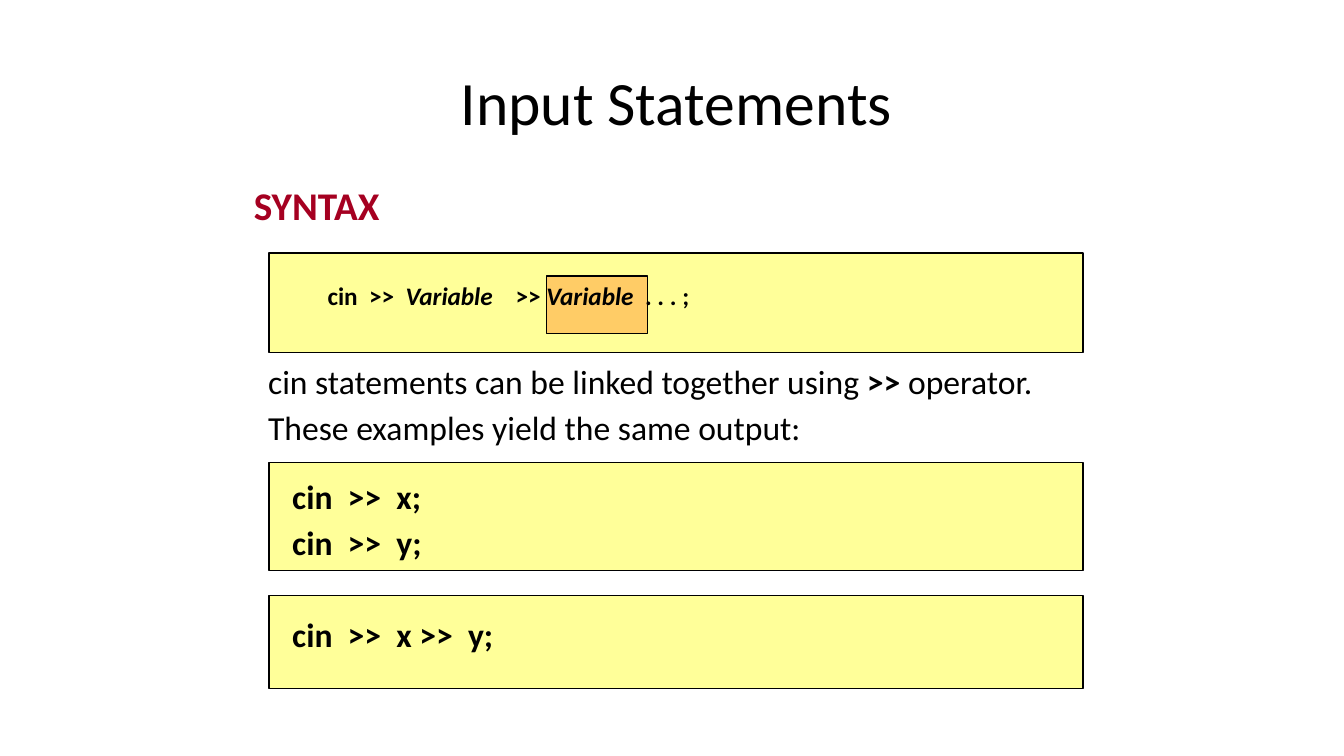
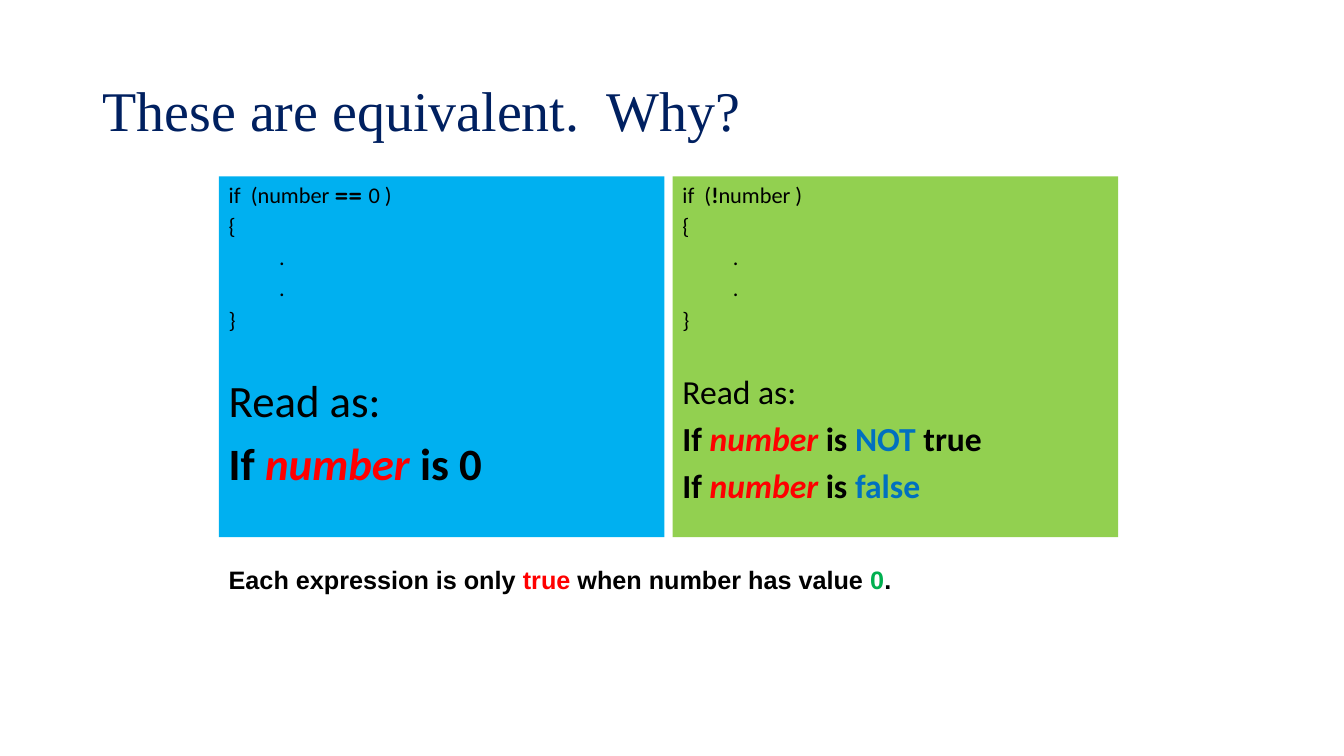
import pptx
import pptx.dml.color
import pptx.enum.shapes
import pptx.enum.text
import pptx.util

Inches = pptx.util.Inches
Pt = pptx.util.Pt
RGB = pptx.dml.color.RGBColor
ALIGN = pptx.enum.text.PP_ALIGN
ANCHOR = pptx.enum.text.MSO_ANCHOR

BLACK = RGB(0x00, 0x00, 0x00)
NAVY = RGB(0x00, 0x20, 0x60)
CRIMSON = RGB(0xA5, 0x00, 0x21)
RED = RGB(0xFF, 0x00, 0x00)
BLUE = RGB(0x00, 0x70, 0xC0)
GREEN = RGB(0x00, 0xB0, 0x50)
SKY = RGB(0x00, 0xB0, 0xF0)
LIME = RGB(0x92, 0xD0, 0x50)
YELLOW = RGB(0xFF, 0xFF, 0x99)
ORANGE = RGB(0xFF, 0xCC, 0x66)

BOLD = {"bold": True}
ITALIC = {"bold": True, "italic": True}
VARIABLE = {**ITALIC, "color": RED}
KEYWORD = {**BOLD, "color": BLUE}


def set_all(target, values):
    for name, value in values.items():
        setattr(target, name, value)


def para(*runs, size=24, font="Calibri", color=BLACK, before=0, left=0, **fmt):
    base = {"size": Pt(size), "name": font, "color": color}
    runs = [(r, {}) if isinstance(r, str) else r for r in runs]
    return base, runs, left, {"space_before": Pt(before), **fmt}


def write(sp, paras, **frame):
    tf = sp.text_frame
    set_all(tf, {"word_wrap": True, "vertical_anchor": ANCHOR.TOP, **frame})
    for i, (base, runs, left, fmt) in enumerate(paras):
        p = tf.paragraphs[0] if i == 0 else tf.add_paragraph()
        p._p.get_or_add_pPr().set("marL", str(Inches(left)))
        set_all(p, {"alignment": ALIGN.LEFT, **fmt})
        for text, style in runs:
            r = p.add_run()
            r.text = text
            font = {**base, **style}
            r.font.color.rgb = font.pop("color")
            set_all(r.font, font)


def add_text(s, box, paras, **frame):
    sp = s.shapes.add_textbox(*map(Inches, box))
    write(sp, paras, **frame)


def add_title(s, box, text, **fmt):
    add_text(s, box, [para(text, **fmt)], vertical_anchor=ANCHOR.MIDDLE)


def add_rect(s, box, fill, outlined=True):
    sp = s.shapes.add_shape(pptx.enum.shapes.MSO_SHAPE.RECTANGLE, *map(Inches, box))
    sp.shadow.inherit = False
    sp.fill.solid()
    sp.fill.fore_color.rgb = fill
    if outlined:
        sp.line.color.rgb = BLACK
        sp.line.width = Pt(1)
    else:
        sp.line.fill.background()
    return sp


def add_syntax(s, left, top, width):
    add_rect(s, (left, top, width, 0.99), YELLOW)
    add_rect(s, (left + 2.75, top + 0.23, 1, 0.57), ORANGE)
    add_text(s, (left + 0.48, top + 0.22, 3.82, 0.4), [
        para(("cin  >>  ", BOLD), ("Variable", ITALIC), ("    >> ", BOLD),
             ("Variable", ITALIC), ("  . . . ;", BOLD), size=18),
    ], word_wrap=False)


def add_condition(s, box, fill, condition, size, readings):
    sp = add_rect(s, box, fill, outlined=False)
    code = [para(*condition, size=16)]
    code += [para(text, size=16, before=3, left=left)
             for text, left in (("{", 0), (".", 0.5), (".", 0.5), ("}", 0))]
    gap = size * 0.2
    meaning = [para("Read as:", size=size, before=22.5 + gap)]
    meaning += [para(*runs, size=size, before=gap) for runs in readings]
    write(sp, code + meaning)


def input_slide(s):
    left, width = 2.67, 8.07
    add_title(s, (2.25, 0.5, 8.92, 1), "Input Statements", size=44, alignment=ALIGN.CENTER)
    for top, height in ((4.59, 1.07), (5.91, 0.92)):
        add_rect(s, (left, top, width, height), YELLOW)
    add_text(s, (left - 0.25, 1.75, 8.58, 5.42), [
        para(("SYNTAX", BOLD), size=28, color=CRIMSON),
        para("cin statements can be linked together using ", (">>", BOLD), " operator.",
             before=94.5, left=0.14),
        para("These examples yield the same output:", before=4.3, left=0.14),
        *[para((code, BOLD), before=before, left=0.38) for code, before in (
            ("cin  >>  x;", 20), ("cin  >>  y;", 4.3), ("cin  >>  x >>  y;", 37))],
    ])
    add_syntax(s, left, 2.51, width)


def equivalent_slide(s):
    left, top, width, height, gap = 2.17, 1.75, 4.42, 3.58, 0.08
    add_title(s, (0.92, 0.4, 11.5, 1.45), "These are equivalent.  Why?",
              size=40, font="Times New Roman", color=NAVY, line_spacing=0.9)
    add_text(s, (left, 5.58, 9, 0.67), [
        para("Each expression is only ", ("true", {"color": RED}),
             " when number has value ", ("0", {"color": GREEN}), ".",
             size=18, font="Arial", line_spacing=0.9),
    ])
    for r in s.shapes[-1].text_frame.paragraphs[0].runs:
        r.font.bold = True
    subject = [("If ", BOLD), ("number", VARIABLE)]
    conditions = [
        (SKY, ["if  (number ", ("== ", {"name": "Quicksand", **BOLD}), "0 )"], 32,
         [subject + [(" is 0", BOLD)]]),
        (LIME, ["if  (", ("!", BOLD), "number )"], 24,
         [subject + [(" is ", BOLD), ("NOT", KEYWORD), (" true", BOLD)],
          subject + [(" is ", BOLD), ("false", KEYWORD)]]),
    ]
    for i, condition in enumerate(conditions):
        add_condition(s, (left + i * (width + gap), top, width, height), *condition)


def main():
    prs = pptx.Presentation()
    set_all(prs, {"slide_width": Inches(13.33), "slide_height": Inches(7.5)})
    for build in (input_slide, equivalent_slide):
        build(prs.slides.add_slide(prs.slide_layouts[6]))
    prs.save("out.pptx")


if __name__ == "__main__":
    main()
